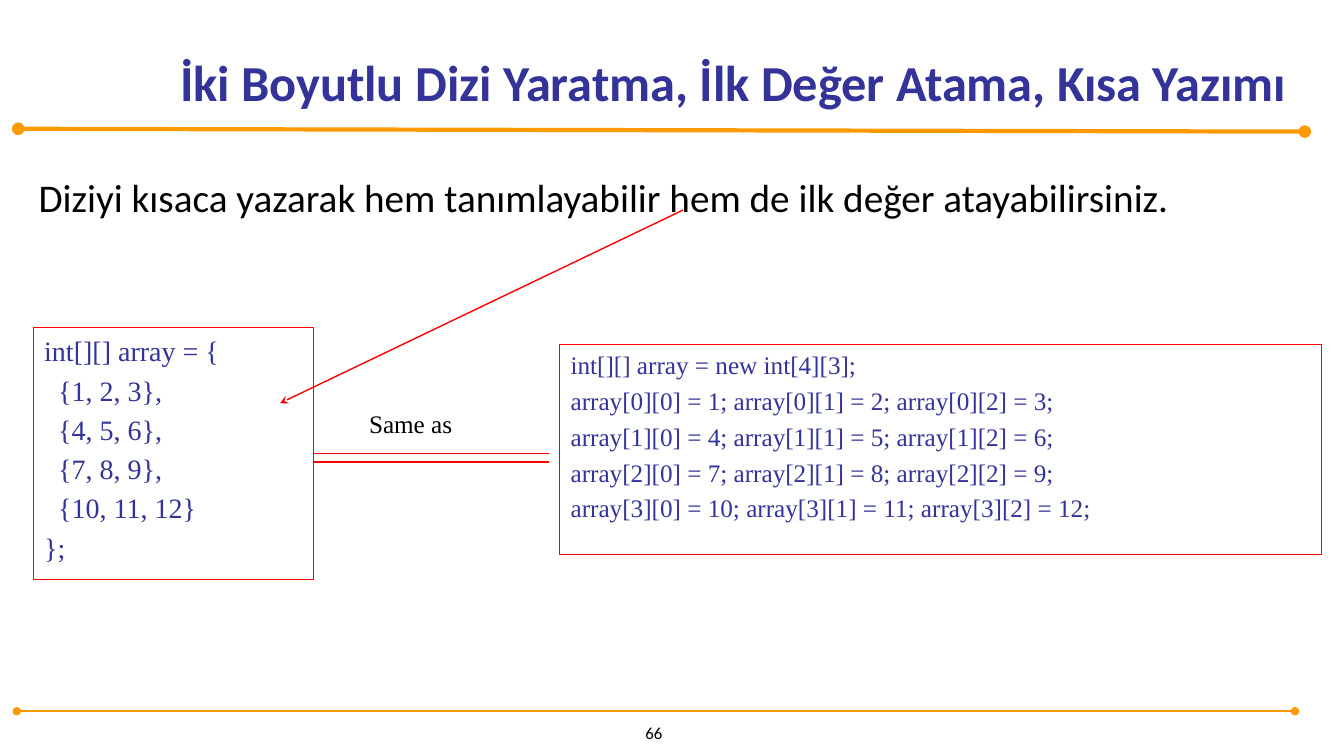
from lxml.etree import SubElement
from pptx import Presentation
from pptx.dml.color import RGBColor
from pptx.enum.shapes import MSO_CONNECTOR as Connector, MSO_SHAPE as Preset
from pptx.enum.text import MSO_ANCHOR as Anchor, PP_ALIGN as Align
from pptx.oxml.ns import qn
from pptx.util import Inches, Pt

COLUMNS, ROWS = 48, 27
WIDTH, HEIGHT = Inches(13.33), Inches(7.5)
COLORS = {"rule": "FF9900", "heading": "333399", "body": "000000", "accent": "FF0000"}
SANS, SERIF = "Calibri", "Times New Roman"

SHORT_FORM = [
    "int[][] array = {",
    "  {1, 2, 3},",
    "  {4, 5, 6},",
    "  {7, 8, 9},",
    "  {10, 11, 12}",
    "};",
]
LONG_FORM = [
    "int[][] array = new int[4][3];",
    "array[0][0] = 1; array[0][1] = 2; array[0][2] = 3;",
    "array[1][0] = 4; array[1][1] = 5; array[1][2] = 6;",
    "array[2][0] = 7; array[2][1] = 8; array[2][2] = 9;",
    "array[3][0] = 10; array[3][1] = 11; array[3][2] = 12;",
]


def color(name):
    return RGBColor.from_string(COLORS[name])


def place(column, row):
    return round(WIDTH * column / COLUMNS), round(HEIGHT * row / ROWS)


def add_text(shapes, box, lines, *, size, font=SANS, ink="body", bold=False,
             align=Align.LEFT, anchor=Anchor.TOP, wrap=True, hanging=0, gap=4):
    shape = shapes.add_textbox(*place(*box[:2]), *place(*box[2:]))
    frame = shape.text_frame
    frame.word_wrap = wrap
    frame.vertical_anchor = anchor
    frame.margin_left = frame.margin_right = Inches(0.05)
    frame.margin_top = frame.margin_bottom = Inches(0.05)
    for index, line in enumerate(lines):
        paragraph = frame.add_paragraph() if index else frame.paragraphs[0]
        paragraph.alignment = align
        if index:
            paragraph.space_before = Pt(gap)
        if hanging:
            properties = paragraph._p.get_or_add_pPr()
            properties.set("marL", str(Inches(hanging)))
            properties.set("indent", str(-Inches(hanging)))
        run = paragraph.add_run()
        run.text = line
        run.font.name = font
        run.font.size = Pt(size)
        run.font.bold = bold
        run.font.color.rgb = color(ink)
    return shape


def add_line(slide, start, end, *, ink="accent", weight=1, head=None, tail=None):
    line = slide.shapes.add_connector(Connector.STRAIGHT, *place(*start), *place(*end))
    line.line.color.rgb = color(ink)
    line.line.width = Pt(weight)
    outline = line.line._get_or_add_ln()
    for tag, kind in (("a:headEnd", head), ("a:tailEnd", tail)):
        if kind:
            SubElement(outline, qn(tag), type=kind)
    SubElement(line._element.spPr, qn("a:effectLst"))
    return line


def add_code_panel(slide, panel, box, lines, size):
    group = slide.shapes.add_group_shape()
    shape = group.shapes.add_shape(Preset.RECTANGLE, *place(*panel[:2]), *place(*panel[2:]))
    shape.shadow.inherit = False
    shape.fill.background()
    shape.line.color.rgb = color("accent")
    shape.line.width = Pt(0.75)
    add_text(group.shapes, box, lines, size=size, font=SERIF, ink="heading", hanging=0.38)
    return shape


def main():
    presentation = Presentation()
    presentation.slide_width, presentation.slide_height = WIDTH, HEIGHT
    slide = presentation.slides.add_slide(presentation.slide_layouts[6])

    for start, end, weight in (((0.65, 4.6), (46.6, 4.7), 3), ((0.6, 25.4), (46.25, 25.4), 1.5)):
        add_line(slide, start, end, ink="rule", weight=weight, head="oval", tail="oval")
    add_text(slide.shapes, (22.85, 25.75, 1, 0.95), ["66"], size=12,
             align=Align.CENTER, anchor=Anchor.BOTTOM, wrap=False)
    add_text(slide.shapes, (6.25, 1.15, 41.75, 3),
             ["İki Boyutlu Dizi Yaratma, İlk Değer Atama, Kısa Yazımı"],
             size=36, ink="heading", bold=True, anchor=Anchor.BOTTOM)
    add_text(slide.shapes, (1.2, 6, 46, 4.5),
             ["Diziyi kısaca yazarak hem tanımlayabilir hem de ilk değer atayabilirsiniz."],
             size=28, hanging=0.38)

    add_code_panel(slide, (20, 12.3, 27.2, 7.5), (20.2, 12.3, 26.8, 6.5), LONG_FORM, 18)
    short_panel = add_code_panel(slide, (1.2, 11.7, 10, 9), (1.4, 11.75, 9.6, 8.4),
                                 SHORT_FORM, 20)

    add_line(slide, (11.2, 16.5), (19.6, 16.5))
    add_text(slide.shapes, (13, 14.4, 6.85, 1.35), ["Same as"],
             size=18, font=SERIF, hanging=0.38)
    equals_top = add_line(slide, (11.2, 16.2), (19.6, 16.2))
    equals_top.begin_connect(short_panel, 3)
    add_line(slide, (24.4, 7.5), (10, 14.4), tail="stealth")

    presentation.save("out.pptx")


if __name__ == "__main__":
    main()
